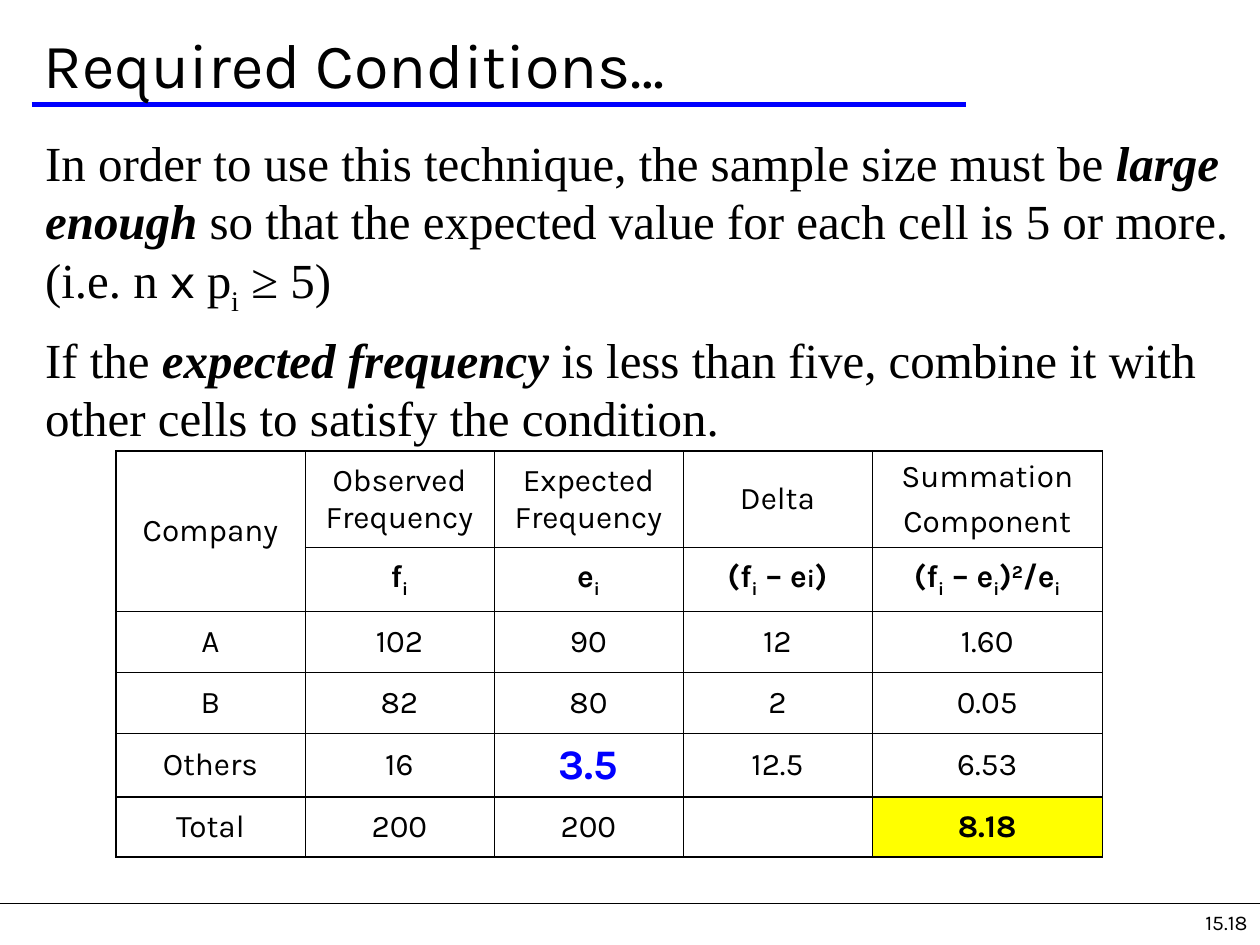
from lxml import etree
from pptx import Presentation, util as u
from pptx.dml.color import RGBColor
from pptx.enum import shapes, text
from pptx.oxml.ns import qn

WIDTH, HEIGHT = 10, 7.5
BLACK, BLUE, YELLOW = "000000", "0000FF", "FFFF00"
SANS, SERIF = "Karla", "Times New Roman"
THIN, THICK = 0.45, 1.08

# Run styles
STRONG = {"bold": True}
EMPHASIS = {"bold": True, "italic": True}
SUB = {"base": -25}
STRONG_SUB = {"bold": True, "base": -25}
STRONG_SUPER = {"bold": True, "base": 30}

CONDITIONS = [
    [("In order to use this technique, the sample size must be ", {}),
     ("large enough", EMPHASIS),
     (" so that the expected value for each cell is 5 or more. (i.e. n ", {}),
     ("x ", {"font": SANS}), ("p", {}), ("i", SUB), (" ≥ 5)", {})],
    [("If the ", {}), ("expected frequency", EMPHASIS),
     (" is less than five, combine it with other cells to satisfy the condition.", {})],
]

# Each cell is a list of paragraphs, or plain text for a single one
F_I = [("f", STRONG), ("i", STRONG_SUB)]
E_I = [("e", STRONG), ("i", STRONG_SUB)]
DELTA = [("(f", STRONG), ("i", STRONG_SUB), (" – e", STRONG),
         ("i", {"bold": True, "size": 14}), (")", STRONG)]
COMPONENT = [("(f", STRONG), ("i", STRONG_SUB), (" – e", STRONG), ("i", STRONG_SUB),
             (")", STRONG), ("2", STRONG_SUPER), ("/e", STRONG), ("i", STRONG_SUB)]
LOW_COUNT = [("3.5", {"bold": True, "size": 24, "color": BLUE})]
FREQUENCIES = [
    ["Company", "Observed Frequency", "Expected Frequency", "Delta",
     [[("Summation", {})], [("Component", {})]]],
    ["", [F_I], [E_I], [DELTA], [COMPONENT]],
    ["A", "102", "90", "12", "1.60"],
    ["B", "82", "80", "2", "0.05"],
    ["Others", "16", [LOW_COUNT], "12.5", "6.53"],
    ["Total", "200", "200", "", [[("8.18", STRONG)]]],
]
COLUMN_WIDTHS = [1.5, 1.5, 1.5, 1.5, 1.83]
ROW_HEIGHTS = [0.76, 0.51, 0.48, 0.49, 0.5, 0.48]
GROUP_STARTS, GROUP_ENDS = {0, 2, 5}, {1, 4, 5}


def rgb(code):
    return RGBColor.from_string(code)


def write(frame, paragraphs, size, font, align=text.PP_ALIGN.LEFT, gap=0):
    """Fill a text frame with paragraphs of (text, style) runs."""
    for index, runs in enumerate(paragraphs):
        paragraph = frame.add_paragraph() if index else frame.paragraphs[0]
        paragraph.alignment = align
        if index:
            paragraph.space_before = u.Pt(gap)
        for words, style in runs:
            run = paragraph.add_run()
            run.text = words
            run.font.name = style.get("font", font)
            run.font.size = u.Pt(style.get("size", size))
            run.font.color.rgb = rgb(style.get("color", BLACK))
            run.font.bold = style.get("bold", False)
            run.font.italic = style.get("italic", False)
            if "base" in style:
                run.font._element.set("baseline", str(style["base"] * 1000))


def add_text(slide, box, paragraphs, size, font, anchor=text.MSO_ANCHOR.TOP, **layout):
    frame = slide.shapes.add_textbox(*map(u.Inches, box)).text_frame
    frame.word_wrap = True
    frame.vertical_anchor = anchor
    write(frame, paragraphs, size, font, **layout)


def add_rule(slide, left, right, y, color, weight):
    rule = slide.shapes.add_connector(
        shapes.MSO_CONNECTOR.STRAIGHT, *map(u.Inches, (left, y, right, y)))
    rule.line.color.rgb = rgb(color)
    rule.line.width = u.Pt(weight)
    etree.SubElement(rule._element.spPr, qn("a:effectLst"))


def set_borders(cell, weights):
    """Draw the left, right, top and bottom edges of a cell."""
    properties = cell._tc.get_or_add_tcPr()
    for index, (side, weight) in enumerate(zip("LRTB", weights)):
        edge = etree.Element(qn(f"a:ln{side}"), w=str(u.Pt(weight)))
        fill = etree.SubElement(edge, qn("a:solidFill"))
        etree.SubElement(fill, qn("a:srgbClr"), val=BLACK)
        properties.insert(index, edge)


def add_frequency_table(slide, left, top):
    rows, columns = len(ROW_HEIGHTS), len(COLUMN_WIDTHS)
    table = slide.shapes.add_table(
        rows, columns, u.Inches(left), u.Inches(top),
        u.Inches(sum(COLUMN_WIDTHS)), u.Inches(sum(ROW_HEIGHTS))).table
    table.first_row = table.horz_banding = False
    for column, width in zip(table.columns, COLUMN_WIDTHS):
        column.width = u.Inches(width)
    for row, height in zip(table.rows, ROW_HEIGHTS):
        row.height = u.Inches(height)
    table.cell(0, 0).merge(table.cell(1, 0))

    for r, entries in enumerate(FREQUENCIES):
        for c, entry in enumerate(entries):
            cell = table.cell(r, c)
            cell.vertical_anchor = text.MSO_ANCHOR.MIDDLE
            cell.fill.background()
            last_row = r + cell.span_height - 1 if cell.is_merge_origin else r
            edges = (c == 0, c == columns - 1, r in GROUP_STARTS, last_row in GROUP_ENDS)
            set_borders(cell, [THICK if edge else THIN for edge in edges])
            if entry:
                paragraphs = [[(entry, {})]] if isinstance(entry, str) else entry
                write(cell.text_frame, paragraphs, 18, SANS, text.PP_ALIGN.CENTER, 4.5)

    # Highlighted test statistic
    statistic = table.cell(rows - 1, columns - 1)
    statistic.fill.solid()
    statistic.fill.fore_color.rgb = rgb(YELLOW)


def main():
    prs = Presentation()
    prs.slide_width, prs.slide_height = u.Inches(WIDTH), u.Inches(HEIGHT)
    slide = prs.slides.add_slide(prs.slide_layouts[6])

    # Footer rule and title underline
    footer_top = 7.17
    add_rule(slide, 0, WIDTH, footer_top, BLACK, 0.75)
    add_rule(slide, 0.25, 7.67, 0.83, BLUE, 2.5)

    # Page number, title and body
    add_text(slide, (7.92, footer_top, 2.08, 0.33), [[("15.18", {})]], 12, SANS,
             align=text.PP_ALIGN.RIGHT)
    add_text(slide, (0.25, 0.17, 9.58, 0.67), [[("Required Conditions…", {})]], 36, SANS,
             anchor=text.MSO_ANCHOR.MIDDLE)
    add_text(slide, (0.26, 1, 9.74, 6), CONDITIONS, 28, SERIF, gap=7)

    # Observed and expected frequencies
    add_frequency_table(slide, 0.92, 3.58)
    prs.save("out.pptx")


if __name__ == "__main__":
    main()
